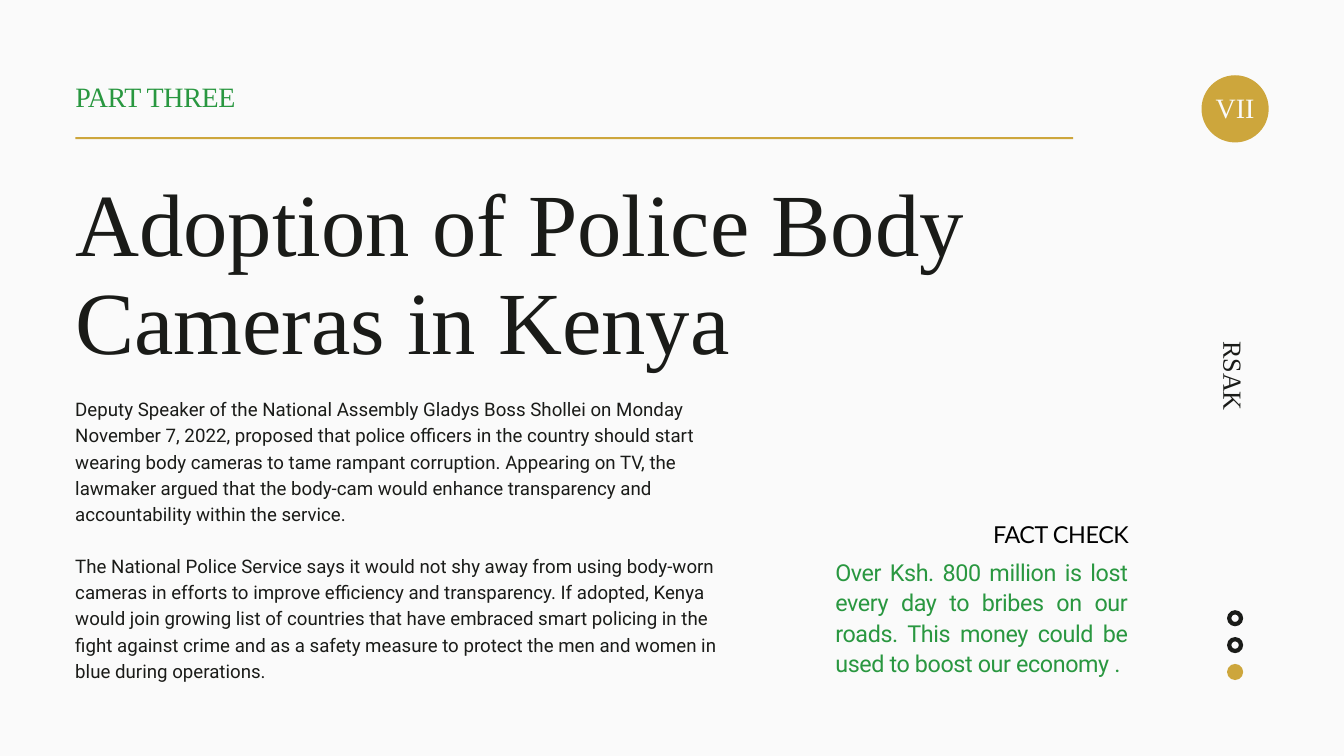
import pptx
import pptx.util
from pptx.dml.color import RGBColor
from pptx.enum.shapes import MSO_SHAPE
from pptx.enum.text import MSO_ANCHOR, MSO_AUTO_SIZE, PP_ALIGN
from pptx.util import Inches, Pt

PAPER = RGBColor(0xFA, 0xFA, 0xFA)
INK = RGBColor(0x1A, 0x1B, 0x18)
GREEN = RGBColor(0x29, 0x97, 0x40)
GOLD = RGBColor(0xCD, 0xA6, 0x3C)
BLACK = RGBColor(0, 0, 0)

SERIF = "Times New Roman"
SANS = "Roboto"
LABEL = "Lato"

LEFT = 1.12
HEADER_WIDTH = 14.85
RAIL_CENTER = 18.38

BODY = [
    "Deputy Speaker of the National Assembly Gladys Boss Shollei on Monday "
    "November 7, 2022, proposed that police officers in the country should start "
    "wearing body cameras to tame rampant corruption. Appearing on TV, the "
    "lawmaker argued that the body-cam would enhance transparency and "
    "accountability within the service.",
    "The National Police Service says it would not shy away from using body-worn "
    "cameras in efforts to improve efficiency and transparency. If adopted, Kenya "
    "would join growing list of countries that have embraced smart policing in the "
    "fight against crime and as a safety measure to protect the men and women in "
    "blue during operations.",
]
FACT = ("Over Ksh. 800 million is lost every day to bribes on our roads. "
        "This money could be used to boost our economy .")


def write_text(box, paragraphs, font, size, color, leading,
               align=PP_ALIGN.LEFT, tracking=0, gap=0):
    """Fill a box; leading, tracking and the gap between paragraphs are in points."""
    frame = box.text_frame
    frame.word_wrap = True
    frame.auto_size = MSO_AUTO_SIZE.NONE
    frame.vertical_anchor = MSO_ANCHOR.TOP
    frame.margin_left = frame.margin_right = 0
    frame.margin_top = frame.margin_bottom = 0
    frame.text = "\n".join(paragraphs)
    for index, para in enumerate(frame.paragraphs):
        para.alignment = align
        para.line_spacing = Pt(leading)
        para.space_before = Pt(gap if index else 0)
        para.font.name = font
        para.font.size = Pt(size)
        para.font.color.rgb = color
        if tracking:
            properties = para._p.get_or_add_pPr().get_or_add_defRPr()
            properties.set("spc", str(round(tracking * 100)))


def add_text(page, left, top, width, height, paragraphs, *style, **options):
    box = page.shapes.add_textbox(
        Inches(left), Inches(top), Inches(width), Inches(height))
    write_text(box, paragraphs, *style, **options)
    return box


def place_title(page, left, top, width, height, text, *style):
    title = page.shapes.title
    title.left, title.top = Inches(left), Inches(top)
    title.width, title.height = Inches(width), Inches(height)
    write_text(title, [text], *style)


def add_filled(page, preset, left, top, width, height, color):
    shape = page.shapes.add_shape(
        preset, Inches(left), Inches(top), Inches(width), Inches(height))
    shape.shadow.inherit = False
    shape.fill.solid()
    shape.fill.fore_color.rgb = color
    shape.line.fill.background()
    return shape


def add_page_badge(page, numeral):
    size = 1
    add_filled(page, MSO_SHAPE.OVAL, RAIL_CENTER - size / 2, 1.12, size, size, GOLD)
    add_text(page, RAIL_CENTER - 0.3, 1.39, 0.6, 0.48, [numeral],
             SERIF, 30, PAPER, 33, align=PP_ALIGN.CENTER)


def add_progress_dots(page, count, current):
    """Stack rings down the rail, with a solid gold dot for the current step."""
    size, pitch, top = 0.24, 0.4, 9.08
    for step in range(count):
        is_current = step == current
        dot = add_filled(page, MSO_SHAPE.OVAL if is_current else MSO_SHAPE.DONUT,
                         RAIL_CENTER - size / 2, top + step * pitch, size, size,
                         GOLD if is_current else INK)
        if not is_current:
            dot.adjustments[0] = 0.27


def main():
    deck = pptx.Presentation()
    deck.slide_width, deck.slide_height = Inches(20), Inches(11.25)
    page = deck.slides.add_slide(deck.slide_layouts[5])
    page.background.fill.solid()
    page.background.fill.fore_color.rgb = PAPER

    add_text(page, LEFT, 5.87, 9.93, 4.26, BODY, SANS, 20, INK, 28, gap=28)
    place_title(page, LEFT, 2.63, HEADER_WIDTH, 2.95,
                "Adoption of Police Body Cameras in Kenya", SERIF, 95, INK, 104.5)
    add_text(page, LEFT, 1.16, HEADER_WIDTH, 0.52, ["PART THREE"],
             SERIF, 30, GREEN, 37.5, tracking=-0.4)
    add_filled(page, MSO_SHAPE.RECTANGLE, LEFT, 2.04, HEADER_WIDTH, 0.03, GOLD)

    add_page_badge(page, "VII")
    add_progress_dots(page, count=3, current=2)
    rail_label = add_text(page, 17.79, 5.38, 1.1, 0.43, ["RSAK"],
                          SERIF, 28, INK, 30.8, align=PP_ALIGN.CENTER)
    rail_label.rotation = 90

    add_text(page, 13.74, 7.71, 3.06, 0.45, ["FACT CHECK"],
             LABEL, 25, BLACK, 32.5, align=PP_ALIGN.RIGHT, tracking=-0.4)
    add_text(page, 12.43, 8.27, 4.35, 1.85, [FACT],
             SANS, 25, GREEN, 32.5, align=PP_ALIGN.JUSTIFY, tracking=-0.4)

    deck.save("out.pptx")


if __name__ == "__main__":
    main()
